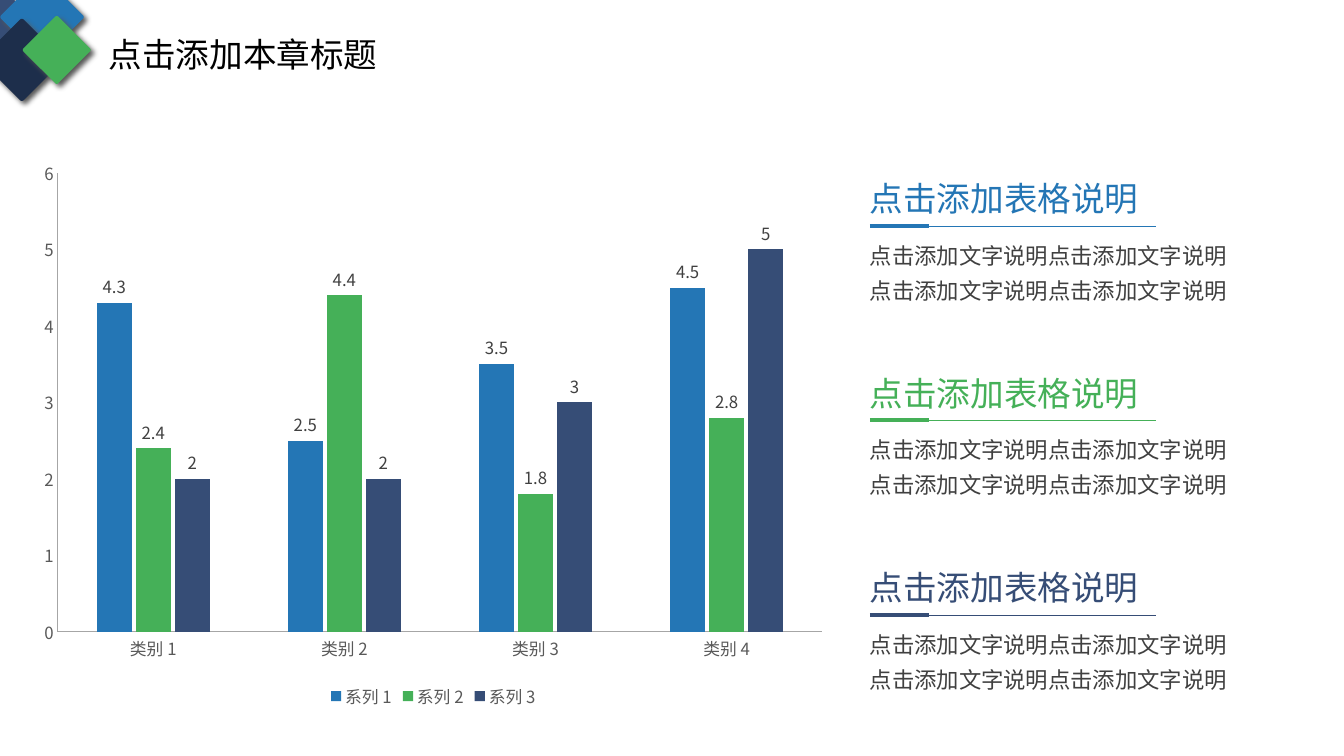
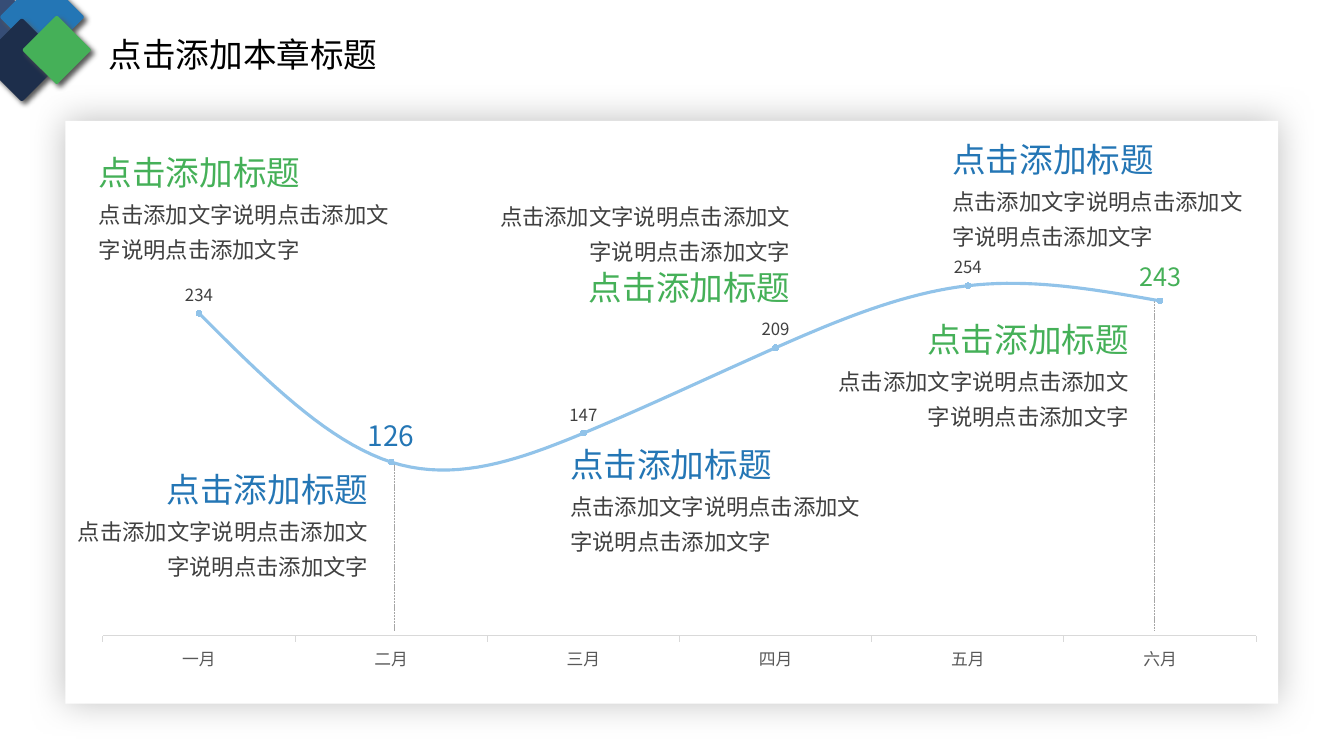
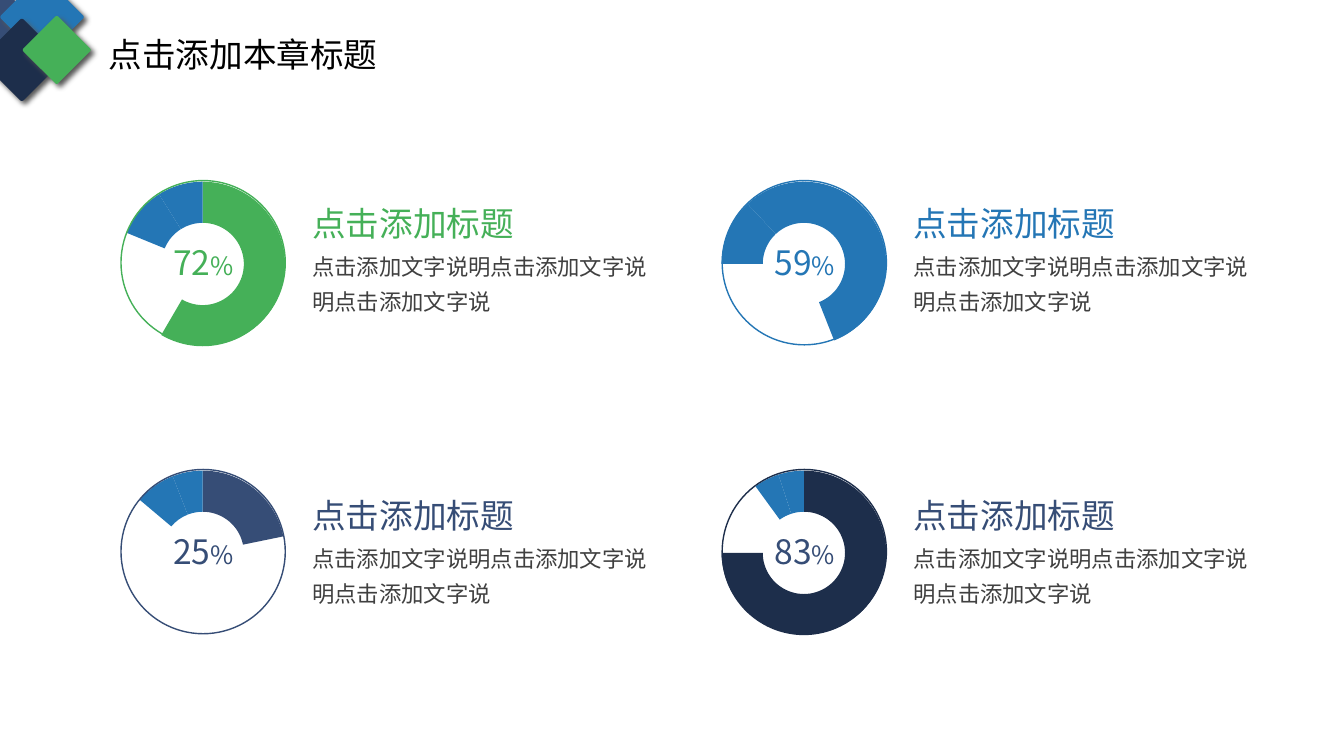
from lxml.etree import SubElement
from pptx import Presentation
from pptx.chart.data import CategoryChartData as ChartData
from pptx.dml.color import RGBColor
from pptx.enum.chart import XL_CHART_TYPE as Kind
from pptx.enum.chart import XL_LABEL_POSITION as Spot
from pptx.enum.chart import XL_LEGEND_POSITION as Side
from pptx.enum.chart import XL_MARKER_STYLE as Mark
from pptx.enum.chart import XL_TICK_LABEL_POSITION as Tag
from pptx.enum.chart import XL_TICK_MARK as Tick
from pptx.enum.dml import MSO_LINE as Dash
from pptx.enum.shapes import MSO_CONNECTOR as Link
from pptx.enum.shapes import MSO_SHAPE as Form
from pptx.enum.text import MSO_AUTO_SIZE as Fit
from pptx.enum.text import PP_ALIGN as Align
from pptx.oxml.ns import qn
from pptx.util import Cm, Pt

# Shared look
FACE = "Noto Sans CJK SC"
BLUE, GREEN, NAVY, DARK = "2476B5", "45B058", "364D76", "1D2E4B"
INK, SOFT, GRAY, SKY = "404040", "595959", "A6A6A6", "91C3E9"
TILES = [(-0.58, 0, 1.32, NAVY), (0.3, -0.33, 1.52, BLUE),
         (-0.2, 0.76, 1.5, DARK), (0.81, 0.64, 1.24, GREEN)]
HEAD = "点击添加标题"
SAY = "点击添加文字说明"


def color(code):
    return RGBColor.from_string(code)


def area(*sizes):
    return [Cm(size) for size in sizes]


def style(font, size, code):
    font.size = Pt(size)
    font.color.rgb = color(code)
    font.name = FACE
    SubElement(font._element, qn("a:ea")).set("typeface", FACE)


def paint(target, code):
    if code:
        target.fill.solid()
        target.fill.fore_color.rgb = color(code)
    else:
        target.fill.background()


# Text
def write(slide, box, text, size, code, align=Align.LEFT, lead=None, unit=""):
    frame = slide.shapes.add_textbox(*area(*box)).text_frame
    frame.word_wrap = True
    frame.auto_size = Fit.SHAPE_TO_FIT_TEXT
    frame.text = text
    para = frame.paragraphs[0]
    para.alignment = align
    para.line_spacing = lead
    style(para.runs[0].font, size, code)
    if unit:
        run = para.add_run()
        run.text = unit
        style(run.font, 18, code)


def note(slide, x, y, head, body, code, wide, gap, short=5.99, right=False):
    """A coloured heading with a body text a set gap below its top."""
    align = Align.RIGHT if right else Align.LEFT
    left = x + wide - short if right else x
    write(slide, (left, y, short, 1.3), head, 24, code, align)
    write(slide, (x, y + gap, wide, 1.96), body, 16, INK, align, 1.3)


# Shapes and lines
def shape(slide, form, box, fill=None, edge=None):
    item = slide.shapes.add_shape(form, *area(*box))
    item.shadow.inherit = False
    paint(item, fill)
    if edge:
        item.line.color.rgb = color(edge)
        item.line.width = Pt(1)
    else:
        item.line.fill.background()
    return item


def shade(item, code, blur, far, turn):
    glow = SubElement(item._element.spPr.find(qn("a:effectLst")), qn("a:outerShdw"))
    for key, value in (("blurRad", Pt(blur)), ("dist", Pt(far)),
                       ("dir", turn * 60000), ("algn", "ctr"), ("rotWithShape", 0)):
        glow.set(key, str(value))
    SubElement(glow, qn("a:srgbClr")).set("val", code)


def rule(slide, ends, code, width, dash=None):
    link = slide.shapes.add_connector(Link.STRAIGHT, *area(*ends))
    link.line.color.rgb = color(code)
    link.line.width = Pt(width)
    if dash:
        link.line.dash_style = dash
    SubElement(link._element.spPr, qn("a:effectLst"))


def start(deck):
    """A blank slide with the corner tiles and the title."""
    slide = deck.slides.add_slide(deck.slide_layouts[6])
    for x, y, size, code in TILES:
        tile = shape(slide, Form.ROUNDED_RECTANGLE, (x, y, size, size), code)
        tile.adjustments[0] = 0.04
        tile.rotation = 45
        shade(tile, SOFT, 4, 3, 45)
    write(slide, (2.49, 0.74, 9.91, 1.3), "点击添加本章标题", 24, "000000")
    return slide


# Charts
def graph(slide, kind, box, names, rows):
    data = ChartData()
    data.categories = names
    for name, values in rows:
        data.add_series(name, values)
    chart = slide.shapes.add_chart(kind, *area(*box), data).chart
    chart.has_title = False
    chart.has_legend = False
    chart.plots[0].vary_by_categories = False
    style(chart.font, 10, "000000")
    return chart


def place(chart, x, y, w, h):
    """Fix the inner plot area as shares of the chart's frame."""
    plot = chart._chartSpace.chart.plotArea
    for old in plot.findall(qn("c:layout")):
        plot.remove(old)
    frame = SubElement(plot, qn("c:layout"))
    plot.insert(0, frame)
    hand = SubElement(frame, qn("c:manualLayout"))
    for key, value in (("layoutTarget", "inner"), ("xMode", "edge"), ("yMode", "edge"),
                       ("x", x), ("y", y), ("w", w), ("h", h)):
        SubElement(hand, qn("c:" + key)).set("val", str(value))


def axis(line, code, tick):
    line.has_major_gridlines = False
    line.major_tick_mark = tick
    line.minor_tick_mark = Tick.NONE
    line.format.line.color.rgb = color(code)
    line.format.line.width = Pt(0.75)
    style(line.tick_labels.font, 12, SOFT)


def label(tags, spot):
    tags.show_value = True
    tags.position = spot
    style(tags.font, 12, INK)


def bars(slide):
    rows = [("系列 1", (4.3, 2.5, 3.5, 4.5)), ("系列 2", (2.4, 4.4, 1.8, 2.8)),
            ("系列 3", (2, 2, 3, 5))]
    names = [f"类别 {i}" for i in range(1, 5)]
    chart = graph(slide, Kind.COLUMN_CLUSTERED, (0.71, 3.76, 20.42, 14.2), names, rows)
    plot = chart.plots[0]
    plot.gap_width, plot.overlap = 219, -10
    for row, code in zip(plot.series, (BLUE, GREEN, NAVY)):
        paint(row.format, code)
        label(row.data_labels, Spot.OUTSIDE_END)
    axis(chart.category_axis, GRAY, Tick.NONE)
    axis(chart.value_axis, GRAY, Tick.NONE)
    chart.has_legend = True
    chart.legend.position = Side.BOTTOM
    chart.legend.include_in_layout = False
    style(chart.legend.font, 12, SOFT)


def curve(slide):
    names = [f"{n}月" for n in "一二三四五六"]
    rows = [("Series 1", (234, 126, 147, 209, 254, 243))]
    chart = graph(slide, Kind.LINE_MARKERS, (2.18, 5.21, 29.49, 11.91), names, rows)
    place(chart, 0.014, 0.033, 0.986, 0.875)
    axis(chart.category_axis, "D9D9D9", Tick.OUTSIDE)
    value = chart.value_axis
    value.has_major_gridlines = False
    value.minimum_scale, value.maximum_scale = 0, 300
    value.tick_label_position = Tag.NONE
    value.visible = False
    row = chart.plots[0].series[0]
    row.smooth = True
    row.format.line.color.rgb = color(SKY)
    row.format.line.width = Pt(2.25)
    label(row.data_labels, Spot.ABOVE)
    dots = (SKY, "97C04A", GREEN, "2BA3B5", "2F6FB5", "2242A0")
    for i, code in enumerate(dots):
        mark = row.points[i].marker
        mark.style, mark.size = Mark.CIRCLE, 4
        paint(mark.format, code)
        mark.format.line.fill.background()
    for i, size, code in ((1, 20, BLUE), (5, 18, GREEN)):
        tag = row.points[i].data_label
        style(tag.font, size, code)
        tag.position = Spot.ABOVE


def ring(slide, x, y, values, code):
    chart = graph(slide, Kind.DOUGHNUT, (x, y, 7.18, 4.88), list("1234"),
                  [("Series 1", values)])
    place(chart, 0.21, 0.08, 0.58, 0.85)
    chart._chartSpace.find(".//" + qn("c:holeSize")).set("val", "75")
    for i, fill in enumerate((code, None, BLUE, BLUE)):
        part = chart.plots[0].series[0].points[i].format
        paint(part, fill)
        part.line.fill.background()
    shape(slide, Form.OVAL, (x + 1.53, y + 0.36, 4.14, 4.14), edge=code)


# Slides
def columns(deck):
    slide = start(deck)
    bars(slide)
    for i, code in enumerate((BLUE, GREEN, NAVY)):
        y = 4.37 + i * 4.9
        note(slide, 21.67, y, "点击添加表格说明", SAY * 4, code, 9.65, 1.4, 7.44)
        y += 1.32
        rule(slide, (21.92, y, 23.42, y), code, 2.75)
        rule(slide, (23.34, y, 29.13, y), code, 0.25)


def months(deck):
    slide = start(deck)
    panel = shape(slide, Form.RECTANGLE, (1.65, 3.05, 30.56, 14.68), "FFFFFF")
    shade(panel, "BFBFBF", 25, 0, 0)
    for x, top in ((9.93, 11.68), (29.08, 7.59)):
        rule(slide, (x, top, x, 15.9), GRAY, 0.5, Dash.SQUARE_DOT)
    curve(slide)
    notes = [(1.4, 11.68, BLUE, True, 1.04), (20.57, 7.92, GREEN, True, 1.04),
             (2.24, 3.71, GREEN, False, 1.04), (14.12, 11.07, BLUE, False, 1.04),
             (12.04, 6.6, GREEN, True, -1.8), (23.75, 3.38, BLUE, False, 1.04)]
    for x, y, code, right, gap in notes:
        note(slide, x, y, HEAD, SAY * 2 + "点击添加文字", code, 8.13, gap, right=right)


def shares(deck):
    slide = start(deck)
    cells = [("72", (59, 23, 10, 9), GREEN, GREEN), ("59", (44, 31, 13, 12), BLUE, BLUE),
             ("25", (22, 65, 8, 6), NAVY, NAVY), ("83", (75, 15, 5, 5), DARK, NAVY)]
    for i, (share, values, code, ink) in enumerate(cells):
        row, col = divmod(i, 2)
        x, y = 1.52 + col * 15.15, 4.19 + row * 7.28
        ring(slide, x, y, values, code)
        write(slide, (x + 2.58, y + 1.78, 2.06, 1.3), share, 24, ink, Align.CENTER, unit="%")
        note(slide, x + 6.1, 4.98 + row * 7.37, HEAD, SAY * 2 + "点击添加文字说",
             ink, 9.42, 1.07)


def main():
    deck = Presentation()
    deck.slide_width, deck.slide_height = Cm(33.87), Cm(19.05)
    columns(deck)
    months(deck)
    shares(deck)
    deck.save("out.pptx")


if __name__ == "__main__":
    main()
